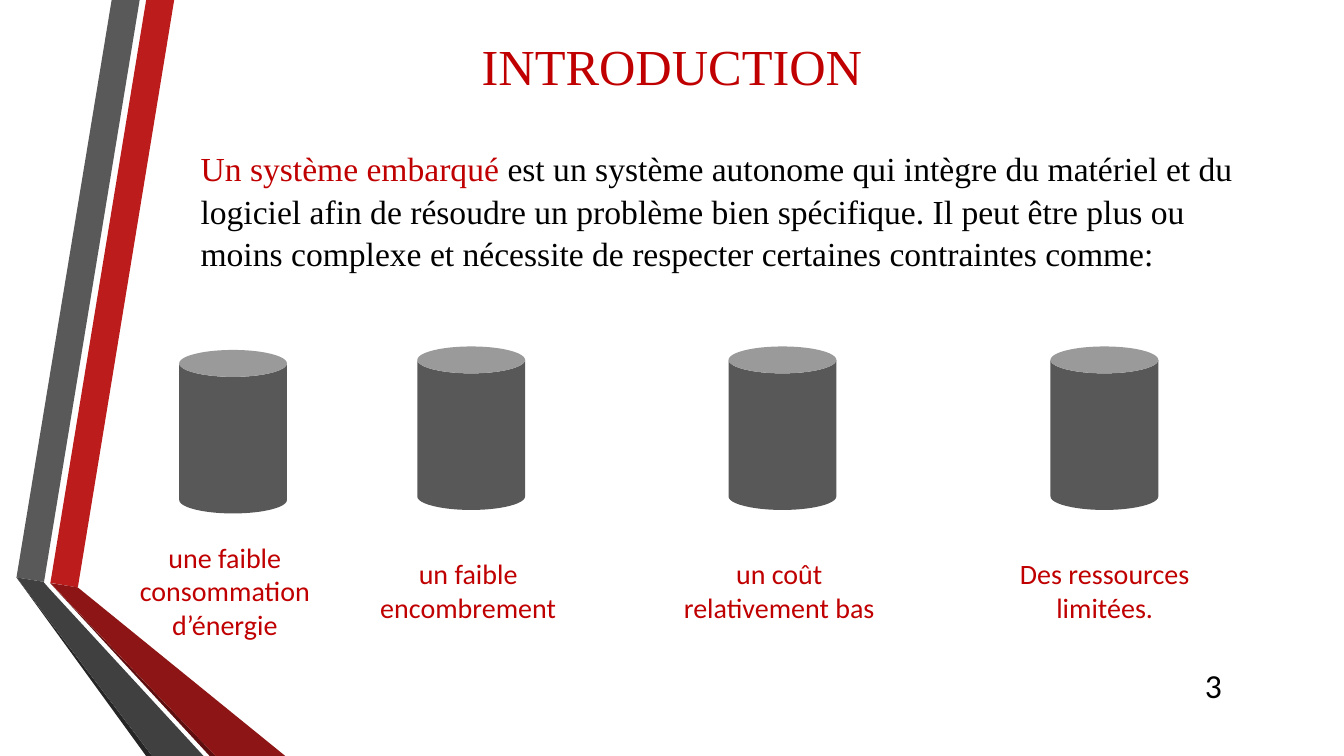
import pptx
import pptx.util
import pptx.dml.color
import pptx.enum.shapes
import pptx.enum.text

Pt = pptx.util.Pt
RGB = pptx.dml.color.RGBColor
ALIGN = pptx.enum.text.PP_ALIGN
ANCHOR = pptx.enum.text.MSO_ANCHOR

RED = RGB(0xC0, 0x00, 0x00)
BLACK = RGB(0x00, 0x00, 0x00)
CAN_GREY = RGB(0x58, 0x58, 0x58)
SERIF, SANS = "Times New Roman", "Calibri"

TITLE = "INTRODUCTION"
TERM = "Un système embarqué "
DEFINITION = (
    "est un système autonome qui intègre du matériel et du logiciel afin de "
    "résoudre un problème bien spécifique. Il peut être plus ou moins complexe "
    "et nécessite de respecter certaines contraintes comme:"
)
PAGE = "3"

# Ribbon facets, back to front: colour and outline in points
RIBBONS = [
    (RGB(0xBC, 0x1C, 0x1C),
     [(36, 416.3), (55.6, 419.6), (124.4, 0), (104.4, 0)]),
    (RGB(0x59, 0x59, 0x59),
     [(99.8, 0), (79.8, 0), (11.8, 412.5), (31.5, 415.6)]),
    (RGB(0x26, 0x26, 0x26), [(11.8, 412.5), (104.4, 540), (108.7, 540)]),
    (RGB(0x5E, 0x0E, 0x0E), [(36, 416.7), (149.8, 540), (154.1, 540)]),
    (RGB(0x8D, 0x15, 0x15),
     [(36, 416.5), (154.1, 540), (203.8, 540), (55.6, 419.6)]),
    (RGB(0x40, 0x40, 0x40),
     [(145.4, 540), (34.6, 419.8), (31, 415.6), (11.8, 412.5), (108.7, 540)]),
]

# Constraint, can left and top, label left, top and width
CONSTRAINTS = [
    ("une faible consommation d’énergie", 128, 250, 82.1, 382.3, 157),
    ("un faible encombrement", 298.1, 247.5, 260.6, 394.3, 147.6),
    ("un coût relativement bas", 520.4, 247.5, 478.1, 394.3, 157),
    ("Des ressources limitées.", 750.4, 247.5, 717.1, 394.3, 144),
]
CAN_W, CAN_H = 77, 116.8


def paint(shape, color):
    shape.fill.solid()
    shape.fill.fore_color.rgb = color
    shape.line.fill.background()
    shape.shadow.inherit = False


def add_text(s, box, runs, size, font, align, margin=0, anchor=ANCHOR.TOP):
    """Add a one-paragraph text box; runs are (text, colour) pairs."""
    tf = s.shapes.add_textbox(*map(Pt, box)).text_frame
    tf.word_wrap = True
    tf.vertical_anchor = anchor
    tf.margin_left = tf.margin_right = Pt(margin)
    tf.margin_top = tf.margin_bottom = Pt(margin / 2)
    p = tf.paragraphs[0]
    p.alignment = align
    for text, color in runs:
        r = p.add_run()
        r.text = text
        r.font.size = Pt(size)
        r.font.name = font
        r.font.color.rgb = color
    return p


def main():
    prs = pptx.Presentation()
    prs.slide_width, prs.slide_height = Pt(960), Pt(540)
    s = prs.slides.add_slide(prs.slide_layouts[6])

    for color, outline in RIBBONS:
        points = [(Pt(x), Pt(y)) for x, y in outline]
        builder = s.shapes.build_freeform(*points[0])
        builder.add_line_segments(points[1:])
        paint(builder.convert_to_shape(), color)

    add_text(s, (90, 25, 780, 42), [(TITLE, RED)], 36, SERIF, ALIGN.CENTER)
    p = add_text(s, (143.3, 104.4, 762, 88), [(TERM, RED), (DEFINITION, BLACK)],
                 24, SERIF, ALIGN.LEFT)
    p.line_spacing = 1.05
    add_text(s, (819.4, 475.2, 60.5, 28.8), [(PAGE, BLACK)], 24, SANS,
             ALIGN.RIGHT, 7.2, ANCHOR.MIDDLE)

    for text, can_x, can_y, x, y, width in CONSTRAINTS:
        can = s.shapes.add_shape(pptx.enum.shapes.MSO_SHAPE.CAN,
                                 Pt(can_x), Pt(can_y), Pt(CAN_W), Pt(CAN_H))
        paint(can, CAN_GREY)
        height = 80 if y < 390 else 55.7
        add_text(s, (x, y, width, height), [(text, RED)], 20, SANS,
                 ALIGN.CENTER, 7.2)

    prs.save("out.pptx")


if __name__ == "__main__":
    main()
